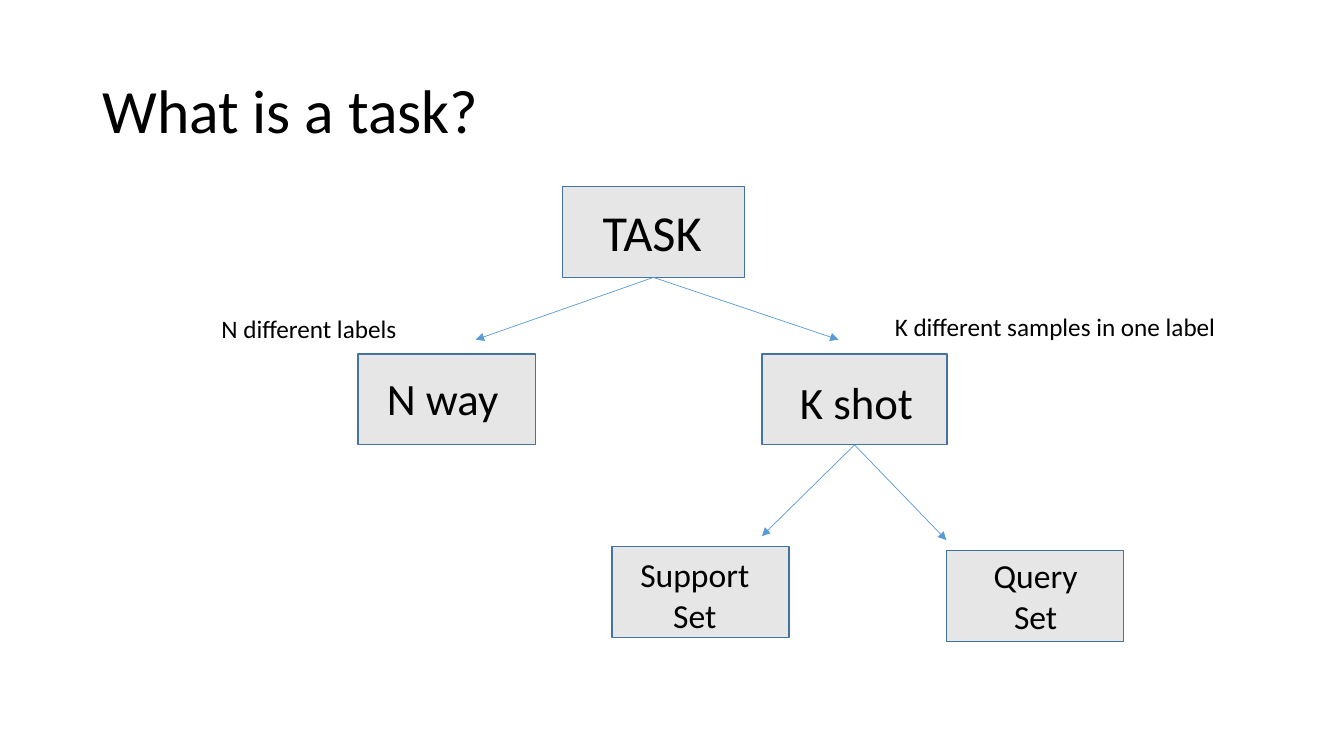
from dataclasses import dataclass

from lxml import etree
from pptx import Presentation
from pptx.dml.color import RGBColor
from pptx.enum.shapes import MSO_CONNECTOR, MSO_SHAPE
from pptx.enum.text import MSO_ANCHOR, PP_ALIGN
from pptx.oxml.ns import qn
from pptx.util import Cm, Pt

RECT = MSO_SHAPE.RECTANGLE
STRAIGHT = MSO_CONNECTOR.STRAIGHT
TOP, MIDDLE = MSO_ANCHOR.TOP, MSO_ANCHOR.MIDDLE
LEFT, CENTER = PP_ALIGN.LEFT, PP_ALIGN.CENTER

BLACK = RGBColor(0x00, 0x00, 0x00)
BOX_FILL = RGBColor(0xE7, 0xE6, 0xE6)
BOX_LINE = RGBColor(0x43, 0x73, 0x9E)
ARROW_BLUE = RGBColor(0x5B, 0x9B, 0xD5)

FONT = "Calibri"
BOX_HEIGHT = 2.29
BOTTOM_SIDE = 2


@dataclass
class Label:
    text: str
    left: float
    top: float
    width: float
    height: float
    size: int
    align: PP_ALIGN = LEFT


@dataclass
class Node:
    left: float
    top: float
    width: float
    label: Label


@dataclass
class Arrow:
    parent: str
    x: float
    y: float


# Lengths in centimetres
NODES = {
    "task": Node(14.17, 4.7, 4.6, Label("TASK", 14.94, 4.95, 3.53, 1.8, 36)),
    "way": Node(9.02, 8.92, 4.47, Label("N way", 9.5, 9.22, 3.38, 1.63, 32)),
    "shot": Node(19.2, 8.92, 4.67, Label("K shot", 19.91, 9.32, 3.48, 1.63, 32)),
    "support": Node(15.42, 13.77, 4.47,
                    Label("Support Set", 15.82, 13.84, 3.38, 2.31, 24, CENTER)),
    "query": Node(23.85, 13.87, 4.47,
                  Label("Query Set", 24.41, 13.87, 3.38, 2.31, 24, CENTER)),
}
ARROWS = [
    Arrow("task", 11.99, 8.56),
    Arrow("task", 21.13, 8.56),
    Arrow("shot", 19.2, 13.51),
    Arrow("shot", 23.85, 13.61),
]
CAPTIONS = [
    Label("N different labels", 5.33, 7.77, 6.55, 1.02, 18),
    Label("K different samples in one label", 22.3, 7.72, 9.32, 1.02, 18),
]
TITLE = Label("What is a task?", 2.33, 1.01, 29.21, 3.68, 44)


def add_text(s, label: Label, *, anchor=TOP, spacing: float = 1.0):
    tb = s.shapes.add_textbox(Cm(label.left), Cm(label.top),
                              Cm(label.width), Cm(label.height))
    tf = tb.text_frame
    tf.word_wrap = True
    tf.vertical_anchor = anchor
    p = tf.paragraphs[0]
    p.alignment = label.align
    p.line_spacing = spacing
    r = p.add_run()
    r.text = label.text
    r.font.name = FONT
    r.font.size = Pt(label.size)
    r.font.color.rgb = BLACK
    return tb


def add_node(s, node: Node):
    sp = s.shapes.add_shape(RECT, Cm(node.left), Cm(node.top),
                            Cm(node.width), Cm(BOX_HEIGHT))
    sp.shadow.inherit = False
    sp.fill.solid()
    sp.fill.fore_color.rgb = BOX_FILL
    sp.line.color.rgb = BOX_LINE
    sp.line.width = Pt(1)
    add_text(s, node.label)
    return sp


def add_arrow(s, parent, arrow: Arrow):
    end_x, end_y = Cm(arrow.x), Cm(arrow.y)
    cn = s.shapes.add_connector(STRAIGHT, end_x, end_y, end_x, end_y)
    cn.begin_connect(parent, BOTTOM_SIDE)
    cn.line.color.rgb = ARROW_BLUE
    cn.line.width = Pt(0.5)
    etree.SubElement(cn.line._get_or_add_ln(), qn("a:tailEnd"), type="triangle")
    etree.SubElement(cn._element.spPr, qn("a:effectLst"))
    return cn


def main() -> None:
    prs = Presentation()
    prs.slide_width, prs.slide_height = Cm(33.87), Cm(19.05)
    s = prs.slides.add_slide(prs.slide_layouts[6])

    # Title
    add_text(s, TITLE, anchor=MIDDLE, spacing=0.9)

    # Tree of boxes and arrows
    boxes = {name: add_node(s, node) for name, node in NODES.items()}
    for arrow in ARROWS:
        add_arrow(s, boxes[arrow.parent], arrow)

    # Captions beside the second level
    for caption in CAPTIONS:
        add_text(s, caption)

    prs.save("out.pptx")


if __name__ == "__main__":
    main()
